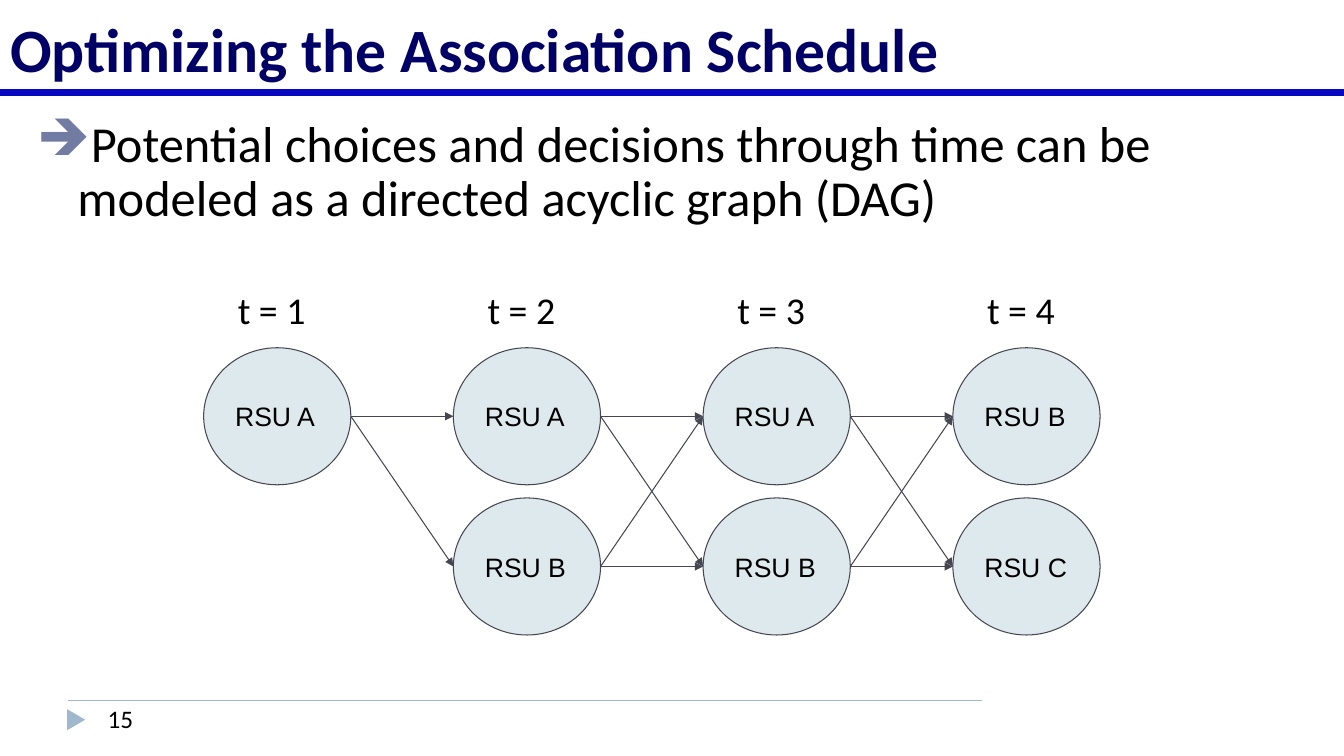
"""Build a slide showing the association schedule as a directed acyclic graph."""
from itertools import product

from lxml import etree
from pptx import Presentation
from pptx.dml.color import RGBColor
from pptx.enum.shapes import MSO_CONNECTOR, MSO_SHAPE
from pptx.enum.text import MSO_ANCHOR, MSO_AUTO_SIZE, PP_ALIGN
from pptx.oxml.ns import qn
from pptx.util import Inches, Pt

STRAIGHT = MSO_CONNECTOR.STRAIGHT
OVAL, TRIANGLE = MSO_SHAPE.OVAL, MSO_SHAPE.ISOSCELES_TRIANGLE
TOP, MIDDLE, BOTTOM = MSO_ANCHOR.TOP, MSO_ANCHOR.MIDDLE, MSO_ANCHOR.BOTTOM
LEFT, NO_FIT = PP_ALIGN.LEFT, MSO_AUTO_SIZE.NONE

TITLE = "Optimizing the Association Schedule"
POINT = ("Potential choices and decisions through time can be "
         "modeled as a directed acyclic graph (DAG)")
BULLET = "➔"
PAGE = "15"
STEPS = [
    ("t = 1", ["RSU A"]),
    ("t = 2", ["RSU A", "RSU B"]),
    ("t = 3", ["RSU A", "RSU B"]),
    ("t = 4", ["RSU B", "RSU C"]),
]

COLORS = {"title": "000066", "rule": "0808C0", "accent": "9FB8CD", "bullet": "727CA3",
          "text": "000000", "node": "DDE9EC", "edge": "464653"}
FORMATS = {
    "title": {"name": "Calibri", "size": Pt(44), "bold": True},
    "point": {"name": "Calibri", "size": Pt(36)},
    "step": {"name": "Calibri", "size": Pt(27)},
    "node": {"name": "Arial", "size": Pt(19)},
    "page": {"name": "Calibri", "size": Pt(18)},
}

WIDTH, HEIGHT = 13.33, 7.5
GRID_X, GRID_Y = 2.02, 3.45
COL_PITCH, ROW_PITCH = 2.477, 1.49
NODE_W, NODE_H = 1.46, 1.36
LABEL_W, LABEL_H, LABEL_Y = 1.02, 0.66, 2.74
LABEL_DX = 0.24


def color(key):
    return RGBColor.from_string(COLORS[key])


def write(shape, text, style, anchor=TOP, inset_y=0.05, wrap=True, ink="text"):
    tf = shape.text_frame
    frame = {"word_wrap": wrap, "auto_size": NO_FIT, "vertical_anchor": anchor,
             "margin_left": Inches(0.1), "margin_right": Inches(0.1),
             "margin_top": Inches(inset_y), "margin_bottom": Inches(inset_y)}
    for key, value in frame.items():
        setattr(tf, key, value)
    p = tf.paragraphs[0]
    p.alignment = LEFT
    r = p.add_run()
    r.text = text
    for key, value in FORMATS[style].items():
        setattr(r.font, key, value)
    r.font.color.rgb = color(ink)
    return p


def add_text(s, box, text, style, **options):
    tb = s.shapes.add_textbox(*map(Inches, box))
    return write(tb, text, style, **options)


def add_line(s, start, end, ink, weight, arrow=False):
    c = s.shapes.add_connector(STRAIGHT, *map(Inches, start + end))
    c.line.color.rgb = color(ink)
    c.line.width = Pt(weight)
    if arrow:
        etree.SubElement(c.line._get_or_add_ln(), qn("a:tailEnd"), type="triangle")
    etree.SubElement(c._element.spPr, qn("a:effectLst"))


def add_filled(s, kind, box, fill):
    shape = s.shapes.add_shape(kind, *map(Inches, box))
    shape.shadow.inherit = False
    shape.fill.solid()
    shape.fill.fore_color.rgb = color(fill)
    return shape


def add_bullet(p):
    pPr = p._p.get_or_add_pPr()
    pPr.set("marL", str(Inches(0.5)))
    pPr.set("indent", str(Inches(-0.4)))
    ink = etree.SubElement(pPr, qn("a:buClr"))
    etree.SubElement(ink, qn("a:srgbClr"), val=COLORS["bullet"])
    etree.SubElement(pPr, qn("a:buChar"), char=BULLET)


def add_frame(s):
    add_line(s, (0.67, 6.95), (9.74, 6.95), "accent", 1)
    add_line(s, (0, 0.92), (WIDTH, 0.92), "rule", 5)
    marker = add_filled(s, TRIANGLE, (0.65, 7.05, 0.21, 0.18), "accent")
    marker.rotation = 90
    marker.line.fill.background()
    add_text(s, (0.97, 6.93, 1.38, 0.4), PAGE, "page")


def add_graph(s):
    for col, (label, nodes) in enumerate(STEPS):
        x = GRID_X + col * COL_PITCH
        add_text(s, (x + LABEL_DX, LABEL_Y, LABEL_W, LABEL_H), label, "step",
                 inset_y=0.1, wrap=False)
        for row, name in enumerate(nodes):
            y = GRID_Y + row * ROW_PITCH
            node = add_filled(s, OVAL, (x, y, NODE_W, NODE_H), "node")
            node.line.color.rgb = color("edge")
            node.line.width = Pt(0.75)
            write(node, name, "node", anchor=MIDDLE, inset_y=0.1)
        if col:
            before = STEPS[col - 1][1]
            for a, b in product(range(len(before)), range(len(nodes))):
                mid = GRID_Y + NODE_H / 2
                add_line(s, (x - COL_PITCH + NODE_W, mid + a * ROW_PITCH),
                         (x, mid + b * ROW_PITCH), "edge", 0.75, arrow=True)


def main():
    prs = Presentation()
    prs.slide_width, prs.slide_height = Inches(WIDTH), Inches(HEIGHT)
    s = prs.slides.add_slide(prs.slide_layouts[5])
    title = s.shapes.title
    title.left, title.top, title.width, title.height = map(Inches, (0, 0, WIDTH, 0.89))
    write(title, TITLE, "title", anchor=BOTTOM, ink="title")
    add_frame(s)
    p = add_text(s, (0.17, 1.13, 12.59, 1.27), POINT, "point")
    p.line_spacing, p.space_before = 0.9, Pt(6)
    add_bullet(p)
    add_graph(s)
    prs.save("out.pptx")


if __name__ == "__main__":
    main()
